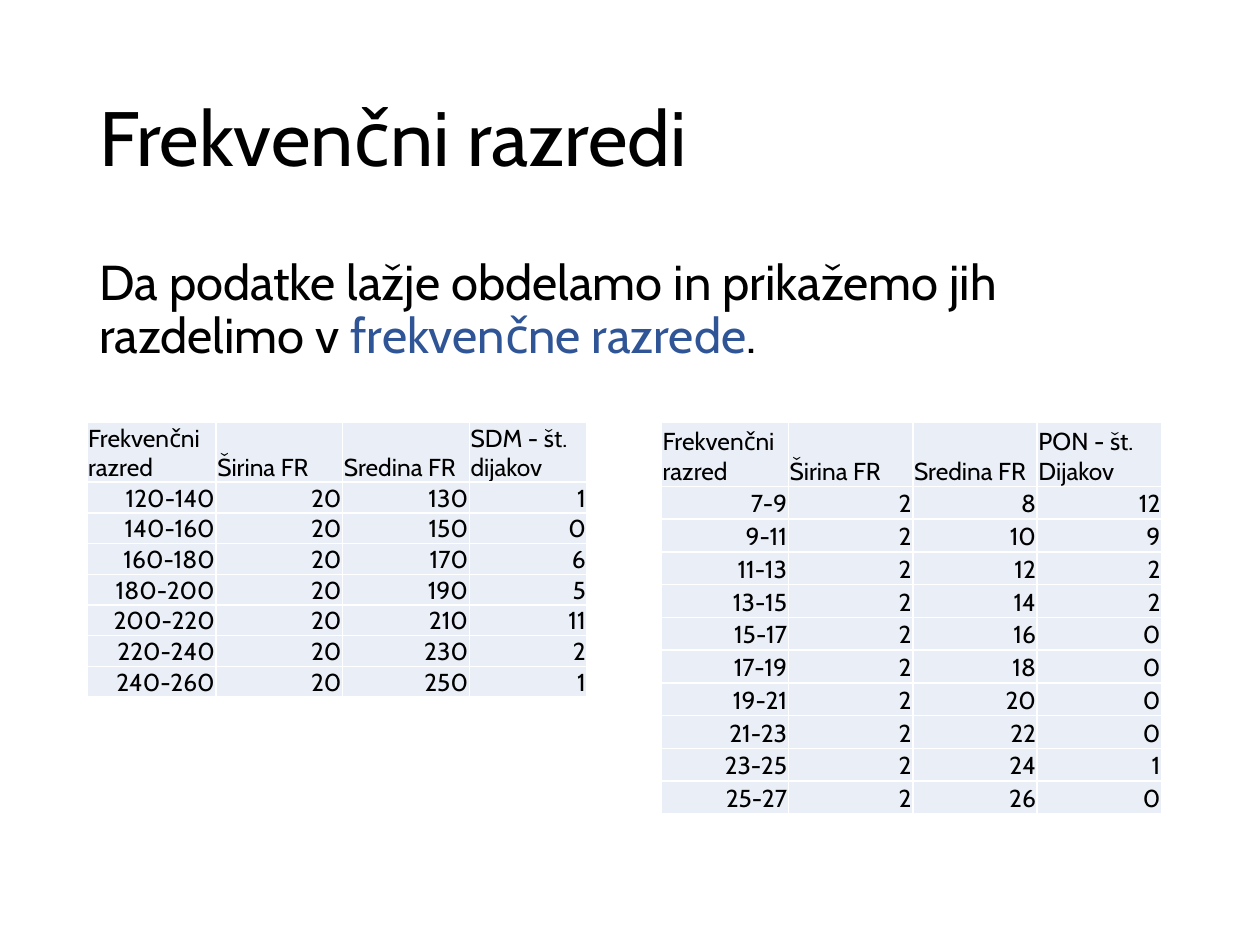
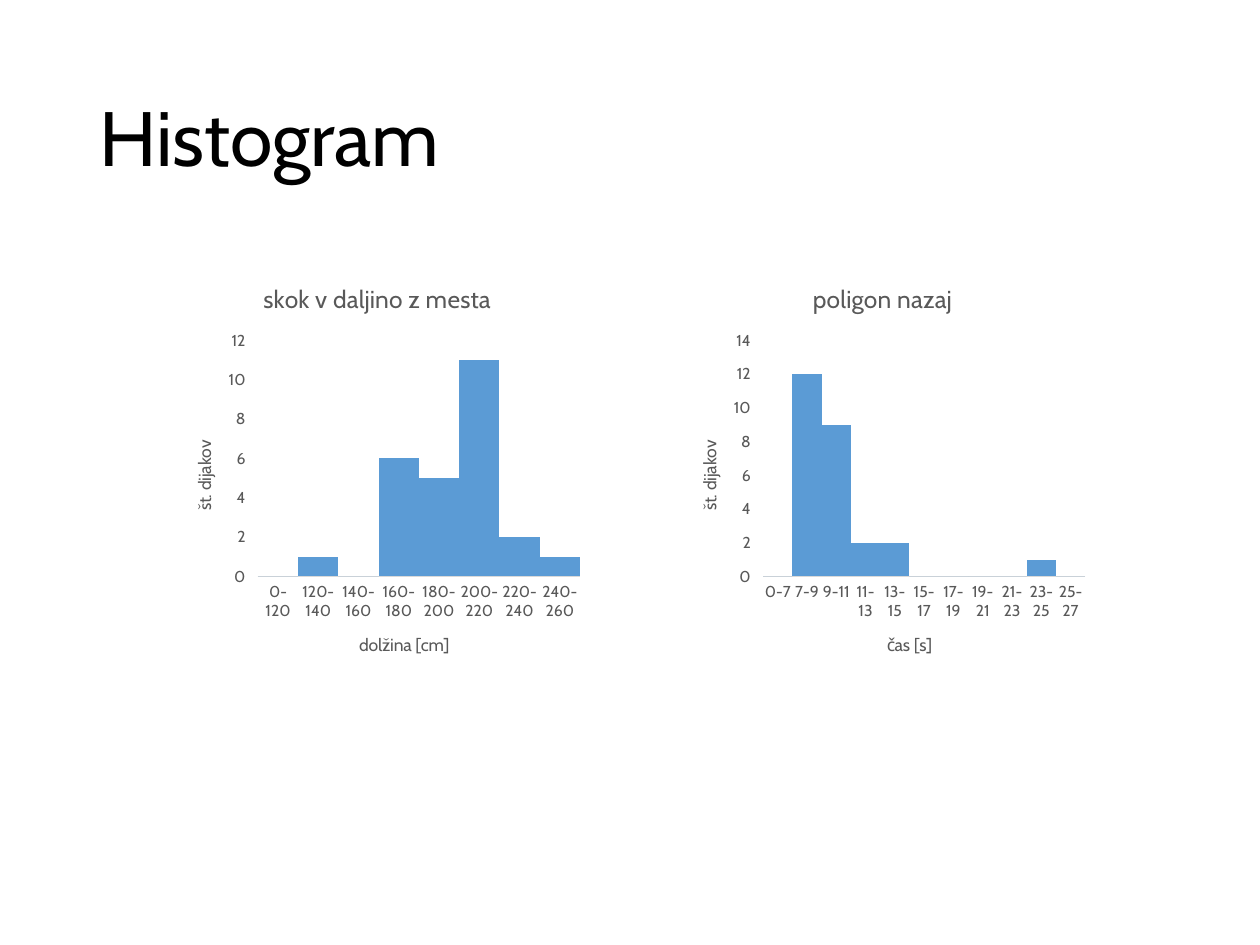
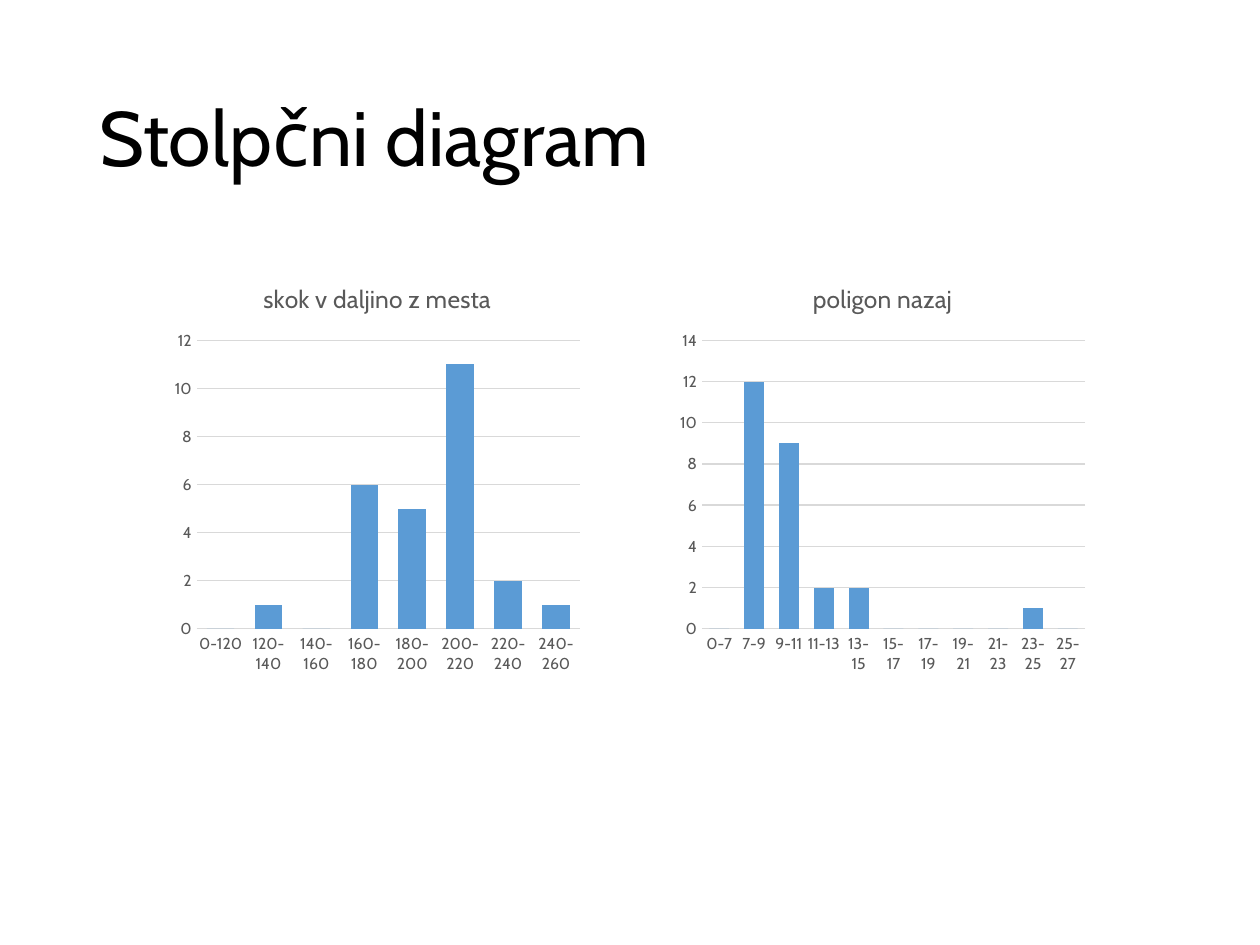
from dataclasses import dataclass
from lxml import etree
from pptx import Presentation
from pptx.chart.data import CategoryChartData
from pptx.dml.color import RGBColor
from pptx.enum.chart import XL_CHART_TYPE, XL_TICK_MARK
from pptx.enum.text import MSO_ANCHOR, PP_ALIGN
from pptx.oxml.ns import qn
from pptx.util import Inches, Pt

COLUMN = XL_CHART_TYPE.COLUMN_CLUSTERED
TICK_OUT, TICK_NONE = XL_TICK_MARK.OUTSIDE, XL_TICK_MARK.NONE
MIDDLE, BOTTOM, TOP = MSO_ANCHOR.MIDDLE, MSO_ANCHOR.BOTTOM, MSO_ANCHOR.TOP
LEFT, RIGHT = PP_ALIGN.LEFT, PP_ALIGN.RIGHT


@dataclass(frozen=True)
class Theme:
    font: str = "Cabin"
    ink: str = "000000"
    gray: str = "595959"
    rule: str = "D9D9D9"
    mark: str = "2F5597"
    bar: str = "5B9BD5"
    cell: str = "EAEFF7"
    edge: str = "FFFFFF"
    title: int = 44
    body: int = 28
    small: int = 14
    label: int = 10
    tick: int = 9


THEME = Theme()
COLS, ROWS = 100, 75
WIDTH, HEIGHT = Inches(10), Inches(7.5)
TITLE_BOX = (6.9, 4, 86.2, 14.5)
BODY_BOX = (6.9, 20, 86.2, 47.6)
TABLE_BOXES = ((6.9, 33.5, 39.7, 21.8), (52.5, 33.5, 39.7, 31.2))
CHART_BOXES = ((13.2, 20.8, 33.5, 33.3), (53.3, 20.8, 33.5, 33.3))


def ranges(start, stop, step):
    return [f"{low}-{low + step}" for low in range(start, stop, step)]


JUMP = ("skok v daljino z mesta", "dolžina [cm]", 120, 260, 20,
        (1, 0, 6, 5, 11, 2, 1), 12)
COURSE = ("poligon nazaj", "čas [s]", 7, 27, 2,
          (12, 9, 2, 2, 0, 0, 0, 0, 1, 0), 14)


def across(cols):
    return round(WIDTH * cols / COLS)


def down(rows):
    return round(HEIGHT * rows / ROWS)


def place(box):
    left, top, width, height = box
    return across(left), down(top), across(width), down(height)


def style(font, size, color):
    font.name = THEME.font
    font.size = Pt(size)
    font.bold = False
    font.color.rgb = RGBColor.from_string(color)


def add_text(slide, box, parts, size, anchor, before=0):
    frame = slide.shapes.add_textbox(*place(box)).text_frame
    frame.word_wrap = True
    frame.vertical_anchor = anchor
    line = frame.paragraphs[0]
    line.line_spacing = 0.9
    line.space_before = Pt(before)
    for text, color in parts:
        run = line.add_run()
        run.text = text
        style(run.font, size, color)


def add_edges(cell):
    props = cell._tc.get_or_add_tcPr()
    for spot, side in enumerate(("a:lnL", "a:lnR", "a:lnT", "a:lnB")):
        line = etree.Element(qn(side), w=str(Pt(1)))
        fill = etree.SubElement(line, qn("a:solidFill"))
        etree.SubElement(fill, qn("a:srgbClr"), val=THEME.edge)
        props.insert(spot, line)


def fill_cell(cell, text, align):
    cell.text_frame.text = text
    cell.vertical_anchor = BOTTOM
    cell.margin_left = cell.margin_top = cell.margin_right = Inches(0.01)
    cell.margin_bottom = 0
    cell.fill.solid()
    cell.fill.fore_color.rgb = RGBColor.from_string(THEME.cell)
    line = cell.text_frame.paragraphs[0]
    line.alignment = align
    style(line.runs[0].font, THEME.small, THEME.ink)
    add_edges(cell)


def add_grid(slide, box, data, count, shares, head, row):
    _, _, start, stop, step, counts, _ = data
    lines = [("Frekvenčni razred", "Širina FR", "Sredina FR", count)]
    for low, name, total in zip(range(start, stop, step),
                                ranges(start, stop, step), counts):
        lines.append((name, str(step), str(low + step // 2), str(total)))
    frame = slide.shapes.add_table(len(lines), len(shares), *place(box))
    table = frame.table
    table.first_row = table.horz_banding = False
    for col, share in zip(table.columns, shares):
        col.width = across(box[2] * share / sum(shares))
    for y, line in enumerate(lines):
        table.rows[y].height = down(row if y else head)
        for x, text in enumerate(line):
            fill_cell(table.cell(y, x), text, RIGHT if y else LEFT)
    frame.height = down(box[3])


def set_title(owner, text, size):
    frame = (owner.chart_title if hasattr(owner, "chart_title")
             else owner.axis_title).text_frame
    frame.text = text
    style(frame.paragraphs[0].runs[0].font, size, THEME.gray)
    return frame


def set_rule(line):
    line.color.rgb = RGBColor.from_string(THEME.rule)
    line.width = Pt(0.75)


def add_bars(slide, box, data, histogram):
    name, unit, start, stop, step, counts, top = data
    source = CategoryChartData()
    source.categories = [f"0-{start}"] + ranges(start, stop, step)
    source.add_series("Series 1", (0,) + counts)
    chart = slide.shapes.add_chart(COLUMN, *place(box), source).chart
    style(chart.font, THEME.label, THEME.ink)
    chart.has_legend = False
    set_title(chart, name, THEME.small)
    chart.chart_title.include_in_layout = False
    plot = chart.plots[0]
    plot.vary_by_categories = False
    plot.gap_width = 0 if histogram else 75
    plot.overlap = 0 if histogram else -25
    bars = plot.series[0]
    bars.invert_if_negative = False
    bars.format.fill.solid()
    bars.format.fill.fore_color.rgb = RGBColor.from_string(THEME.bar)
    base, scale = chart.category_axis, chart.value_axis
    for axis in (base, scale):
        style(axis.tick_labels.font, THEME.tick, THEME.gray)
        axis.major_tick_mark = axis.minor_tick_mark = TICK_NONE
    set_rule(base.format.line)
    scale.format.line.fill.background()
    scale.minimum_scale, scale.maximum_scale = 0, top
    scale.major_unit = 2
    scale.has_major_gridlines = not histogram
    if histogram:
        scale.major_tick_mark = TICK_OUT
        set_title(base, unit, THEME.label)
        frame = set_title(scale, "št. dijakov", THEME.label)
        body = frame._txBody.bodyPr
        body.set("rot", "-5400000")
        body.set("vert", "horz")
    else:
        set_rule(scale.major_gridlines.format.line)


def add_slide(deck, title):
    slide = deck.slides.add_slide(deck.slide_layouts[6])
    add_text(slide, TITLE_BOX, [(title, THEME.ink)], THEME.title, MIDDLE)
    return slide


def table_slide(deck):
    slide = add_slide(deck, "Frekvenčni razredi")
    parts = [("Da podatke lažje obdelamo in prikažemo jih razdelimo v ", THEME.ink),
             ("frekvenčne razrede", THEME.mark), (".", THEME.ink)]
    add_text(slide, BODY_BOX, parts, THEME.body, TOP, 10)
    left, right = TABLE_BOXES
    add_grid(slide, left, JUMP, "SDM - št. dijakov", (1.02, 1, 1, 0.93), 3.7, 2.1)
    add_grid(slide, right, COURSE, "PON - št. Dijakov", (1.01, 0.99, 0.99, 0.99), 5.1, 2.6)


def chart_slide(deck, title, histogram):
    slide = add_slide(deck, title)
    for box, data in zip(CHART_BOXES, (JUMP, COURSE)):
        add_bars(slide, box, data, histogram)


def main():
    deck = Presentation()
    deck.slide_width, deck.slide_height = WIDTH, HEIGHT
    table_slide(deck)
    chart_slide(deck, "Histogram", True)
    chart_slide(deck, "Stolpčni diagram", False)
    deck.save("out.pptx")


main()
